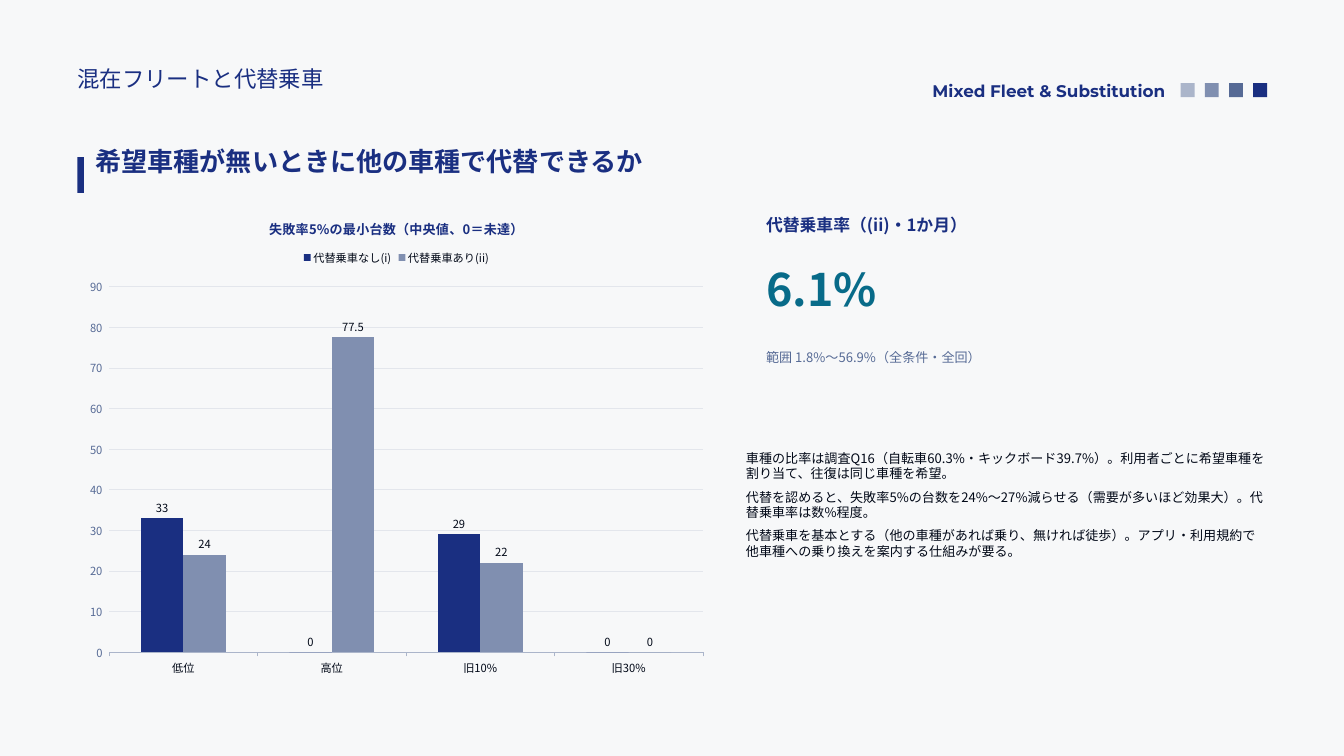
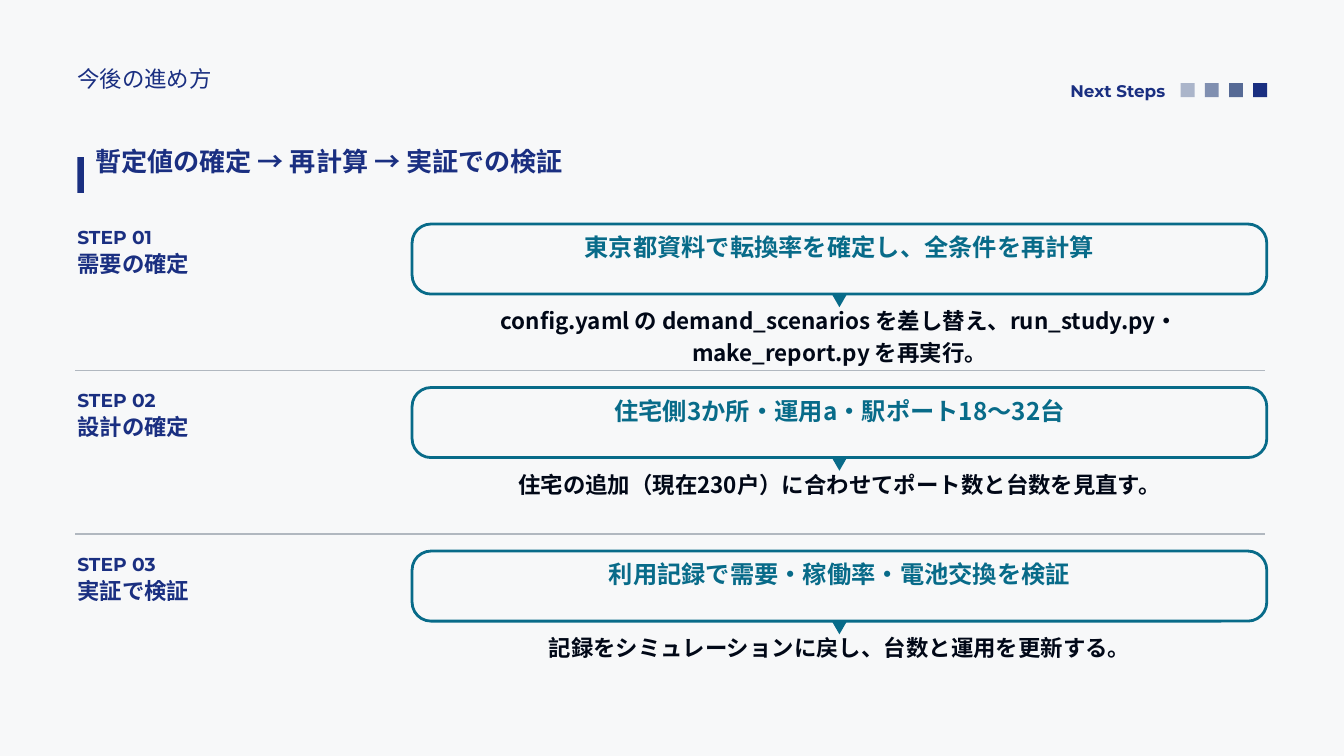
from lxml import etree
from pptx import Presentation
from pptx.chart.data import CategoryChartData
from pptx.dml.color import RGBColor
from pptx.enum.chart import XL_CHART_TYPE, XL_LABEL_POSITION, XL_LEGEND_POSITION, XL_TICK_MARK
from pptx.enum.shapes import MSO_CONNECTOR, MSO_SHAPE
from pptx.enum.text import MSO_ANCHOR, MSO_AUTO_SIZE, PP_ALIGN
from pptx.oxml.ns import qn
from pptx.util import Pt

LEFT, CENTER, RIGHT = PP_ALIGN.LEFT, PP_ALIGN.CENTER, PP_ALIGN.RIGHT
RECTANGLE = MSO_SHAPE.RECTANGLE
ROUNDED = MSO_SHAPE.ROUNDED_RECTANGLE
DOWN_TRIANGLE = MSO_SHAPE.FLOWCHART_MERGE
COLUMNS = XL_CHART_TYPE.COLUMN_CLUSTERED
OUTSIDE = XL_TICK_MARK.OUTSIDE

COLORS = {
    "background": "F7F8F9",
    "navy": "1A2F81",
    "slate": "566A95",
    "steel": "808FB0",
    "mist": "ABB5CA",
    "teal": "086B89",
    "ink": "010817",
    "divider": "B1B8C0",
    "grid": "E3E6EC",
}
JAPANESE = "Noto Sans CJK JP"
ENGLISH = "Montserrat"

MARGIN = 82.8
STEP_PITCH = 175.2
STEPS = [
    ("STEP 01", "需要の確定", "東京都資料で転換率を確定し、全条件を再計算",
     "config.yaml の demand_scenarios を差し替え、run_study.py・make_report.py を再実行。"),
    ("STEP 02", "設計の確定", "住宅側3か所・運用a・駅ポート18〜32台",
     "住宅の追加（現在230戸）に合わせてポート数と台数を見直す。"),
    ("STEP 03", "実証で検証", "利用記録で需要・稼働率・電池交換を検証",
     "記録をシミュレーションに戻し、台数と運用を更新する。"),
]
FINDINGS = [
    "車種の比率は調査Q16（自転車60.3%・キックボード39.7%）。利用者ごとに希望車種を割り当て、往復は同じ車種を希望。",
    "代替を認めると、失敗率5%の台数を24%〜27%減らせる（需要が多いほど効果大）。代替乗車率は数%程度。",
    "代替乗車を基本とする（他の車種があれば乗り、無ければ徒歩）。アプリ・利用規約で他車種への乗り換えを案内する仕組みが要る。",
]
FLEET_CATEGORIES = ["低位", "高位", "旧10%", "旧30%"]
FLEET_SERIES = [
    ("代替乗車なし(i)", [33, 0, 29, 0], "navy"),
    ("代替乗車あり(ii)", [24, 77.5, 22, 0], "steel"),
]


def rgb(color):
    return RGBColor.from_string(COLORS[color])


def style_font(font, size, color, bold=False, family=JAPANESE):
    font.size = Pt(size)
    font.bold = bold
    font.color.rgb = rgb(color)
    font.name = family
    etree.SubElement(font._rPr, qn("a:ea")).set("typeface", family)


def fill_text(holder, paragraphs, size, color, bold=False, family=JAPANESE,
              align=LEFT, line=None, after=0):
    frame = holder.text_frame
    frame.word_wrap = True
    frame.auto_size = MSO_AUTO_SIZE.SHAPE_TO_FIT_TEXT
    frame.vertical_anchor = MSO_ANCHOR.TOP
    frame.margin_left = frame.margin_right = frame.margin_top = frame.margin_bottom = 0
    frame.text = "\n".join(paragraphs)
    for paragraph in frame.paragraphs:
        paragraph.alignment = align
        paragraph.space_before = Pt(0)
        paragraph.space_after = Pt(after)
        if line:
            paragraph.line_spacing = Pt(line)
        style_font(paragraph.font, size, color, bold, family)


def add_text(slide, left, top, width, height, paragraphs, size, color, **style):
    holder = slide.shapes.add_textbox(Pt(left), Pt(top), Pt(width), Pt(height))
    fill_text(holder, paragraphs, size, color, **style)


def add_block(slide, kind, left, top, width, height, fill=None, outline=None):
    block = slide.shapes.add_shape(kind, Pt(left), Pt(top), Pt(width), Pt(height))
    block.shadow.inherit = False
    if fill:
        block.fill.solid()
        block.fill.fore_color.rgb = rgb(fill)
    else:
        block.fill.background()
    if outline:
        block.line.color.rgb = rgb(outline)
        block.line.width = Pt(3)
    else:
        block.line.fill.background()
    return block


def add_divider(slide, top):
    divider = slide.shapes.add_connector(
        MSO_CONNECTOR.STRAIGHT, Pt(80.64), Pt(top), Pt(1355.04), Pt(top))
    divider.line.color.rgb = rgb("divider")
    divider.line.width = Pt(1.5)
    etree.SubElement(divider._element.spPr, qn("a:effectLst"))


def add_framed_slide(deck, headline, section, english_section):
    slide = deck.slides.add_slide(deck.slide_layouts[5])
    title = slide.shapes.title
    title.left, title.top, title.width, title.height = Pt(102.24), Pt(150.48), Pt(1252.8), Pt(54)
    fill_text(title, [headline], 28, "navy", bold=True, line=39.2)
    add_block(slide, RECTANGLE, MARGIN, 168.48, 7.2, 38.16, "navy")
    for index, color in enumerate(["mist", "steel", "slate", "navy"]):
        add_block(slide, RECTANGLE, 1265 + index * 25.92, 89.2, 14.9, 14.9, color)
    add_text(slide, MARGIN, 65.52, 637.2, 45.36, [section], 24, "navy", line=33.6)
    add_text(slide, 722.16, 82.8, 526.32, 24.48, [english_section], 18, "navy",
             bold=True, family=ENGLISH, align=RIGHT, line=25.2)
    return slide


def add_fleet_chart(slide):
    data = CategoryChartData()
    data.categories = FLEET_CATEGORIES
    for name, values, _ in FLEET_SERIES:
        data.add_series(name, values)
    chart = slide.shapes.add_chart(COLUMNS, Pt(MARGIN), Pt(216), Pt(684), Pt(518.4), data).chart
    style_font(chart.font, 12, "ink")

    chart.has_title = True
    chart.chart_title.include_in_layout = False
    heading = chart.chart_title.text_frame
    heading.text = "失敗率5%の最小台数（中央値、0＝未達）"
    style_font(heading.paragraphs[0].font, 14, "navy", bold=True)

    chart.has_legend = True
    chart.legend.position = XL_LEGEND_POSITION.TOP
    chart.legend.include_in_layout = False
    style_font(chart.legend.font, 12, "ink")

    scenarios = chart.category_axis
    scenarios.major_tick_mark = OUTSIDE
    scenarios.format.line.color.rgb = rgb("mist")
    scenarios.format.line.width = Pt(0.75)
    style_font(scenarios.tick_labels.font, 12, "ink")

    vehicles = chart.value_axis
    vehicles.minimum_scale = 0
    vehicles.major_tick_mark = OUTSIDE
    vehicles.format.line.fill.background()
    vehicles.major_gridlines.format.line.color.rgb = rgb("grid")
    vehicles.major_gridlines.format.line.width = Pt(0.75)
    style_font(vehicles.tick_labels.font, 12, "slate")

    plot = chart.plots[0]
    plot.vary_by_categories = False
    plot.gap_width = 150
    plot.overlap = 0
    for series, (_, _, color) in zip(plot.series, FLEET_SERIES):
        series.format.fill.solid()
        series.format.fill.fore_color.rgb = rgb(color)
        labels = series.data_labels
        labels.show_value = True
        labels.position = XL_LABEL_POSITION.OUTSIDE_END
        style_font(labels.font, 12, "ink")


def add_substitution_rate(slide):
    left, width = 820.8, 518.4
    add_text(slide, left, 230.4, width, 36, ["代替乗車率（(ii)・1か月）"], 18, "navy",
             bold=True, after=6)
    add_text(slide, left, 280.8, width, 86.4, ["6.1%"], 48, "teal", bold=True, after=6)
    add_text(slide, left, 374.4, width, 72, ["範囲 1.8%〜56.9%（全条件・全回）"], 14, "slate",
             after=6)


def add_step(slide, top, number, name, action, detail):
    left, width = 441.5, 915.8
    frame = add_block(slide, ROUNDED, left, top, width, 75.1, outline="teal")
    frame.adjustments[0] = 0.27
    add_block(slide, DOWN_TRIANGLE, left + width / 2 - 8.64, top + 74.2, 17.28, 15, "teal")
    add_text(slide, 545.76, top + 4, 707.76, 48.96, [action], 26, "teal",
             bold=True, align=CENTER, line=36.4)
    add_text(slide, MARGIN, top + 22.8, 358.56, 45.36, [name], 24, "navy",
             bold=True, line=33.6)
    add_text(slide, MARGIN, top - 2.3, 165.6, 25.92, [number], 20, "navy",
             bold=True, family=ENGLISH, line=28)
    add_text(slide, left, top + 84.7, width, 45.36, [detail], 24, "ink",
             bold=True, align=CENTER, line=33.6)


def build_substitution_slide(deck):
    slide = add_framed_slide(deck, "希望車種が無いときに他の車種で代替できるか",
                             "混在フリートと代替乗車", "Mixed Fleet & Substitution")
    add_fleet_chart(slide)
    add_substitution_rate(slide)
    add_text(slide, 799.2, 482.4, 558, 244.8, FINDINGS, 14, "ink", after=8)


def build_next_steps_slide(deck):
    slide = add_framed_slide(deck, "暫定値の確定 → 再計算 → 実証での検証",
                             "今後の進め方", "Next Steps")
    for index, step in enumerate(STEPS):
        top = 240 + index * STEP_PITCH
        add_step(slide, top, *step)
        if index < len(STEPS) - 1:
            add_divider(slide, top + 156.9)


def main():
    deck = Presentation()
    deck.slide_width, deck.slide_height = Pt(1440), Pt(810)
    backdrop = deck.slide_master.background.fill
    backdrop.solid()
    backdrop.fore_color.rgb = rgb("background")
    build_substitution_slide(deck)
    build_next_steps_slide(deck)
    deck.save("out.pptx")


if __name__ == "__main__":
    main()
